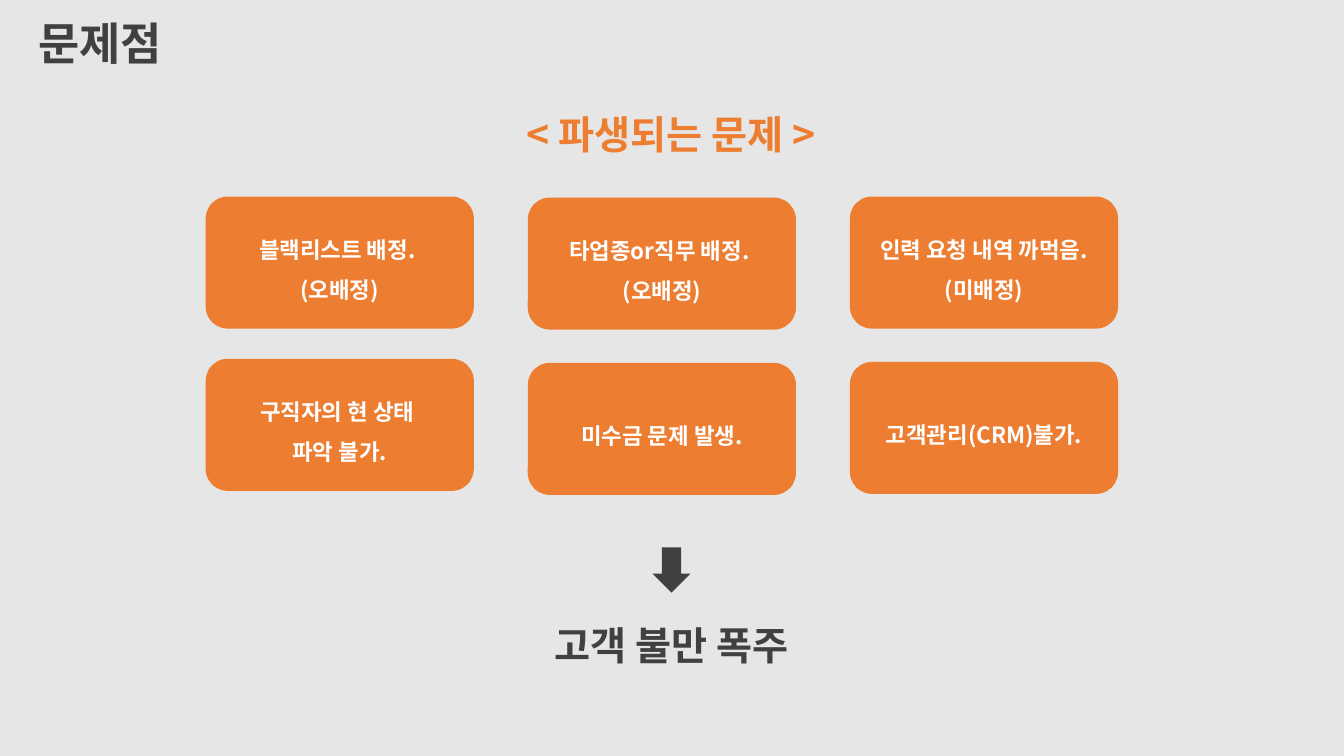
from typing import NamedTuple

from lxml import etree
from pptx import Presentation
from pptx.dml.color import RGBColor
from pptx.enum.shapes import MSO_SHAPE
from pptx.enum.text import MSO_ANCHOR, PP_ALIGN
from pptx.oxml.ns import qn
from pptx.util import Inches, Pt

ROUND_RECT = MSO_SHAPE.ROUNDED_RECTANGLE
DOWN_ARROW = MSO_SHAPE.DOWN_ARROW
TOP, MIDDLE = MSO_ANCHOR.TOP, MSO_ANCHOR.MIDDLE
LEFT, CENTER = PP_ALIGN.LEFT, PP_ALIGN.CENTER

FONT = "Noto Sans CJK KR"
COLORS = {"background": "E7E6E6", "dark": "404040", "accent": "ED7D31", "white": "FFFFFF"}

CARD_LEFT, CARD_PITCH = 2.04, 3.195
CARD_WIDTH, CARD_HEIGHT = 2.66, 1.31


class Heading(NamedTuple):
    text: str
    box: tuple[float, float, float, float]
    size: int
    color: str
    align: PP_ALIGN = CENTER
    anchor: MSO_ANCHOR = TOP
    spacing: float = 1.0


class Card(NamedTuple):
    column: int
    top: float
    text: str


HEADINGS = [
    Heading("문제점", (0.28, 0.15, 5.7, 0.62), 32, "dark", LEFT, MIDDLE, 0.9),
    Heading("< 파생되는 문제 >", (4.11, 1.05, 5.1, 0.57), 28, "accent"),
    Heading("고객 불만 폭주", (5.3, 6.11, 2.72, 0.57), 28, "dark"),
]

# "\v" breaks a line, "\n" starts a paragraph
CARDS = [
    Card(0, 1.95, "블랙리스트 배정. \v(오배정)"),
    Card(1, 1.96, "타업종or직무 배정. \v(오배정)"),
    Card(2, 1.95, "인력 요청 내역 까먹음. (미배정)"),
    Card(0, 3.56, "구직자의 현 상태 \n파악 불가."),
    Card(1, 3.6, "미수금 문제 발생."),
    Card(2, 3.59, "고객관리(CRM)불가."),
]


def rgb(name: str) -> RGBColor:
    return RGBColor.from_string(COLORS[name])


def write(sp, text: str, size: int, color: str, align: PP_ALIGN,
          anchor: MSO_ANCHOR, spacing: float) -> None:
    tf = sp.text_frame
    tf.word_wrap = True
    tf.vertical_anchor = anchor
    tf.text = text
    for p in tf.paragraphs:
        p.alignment = align
        p.line_spacing = spacing
        for r in p.runs:
            r.font.name = FONT
            r.font.size = Pt(size)
            r.font.bold = True
            r.font.color.rgb = rgb(color)
            # Korean glyphs take the East Asian typeface
            etree.SubElement(r.font._element, qn("a:ea"), typeface=FONT)


def add_heading(s, h: Heading) -> None:
    sp = s.shapes.add_textbox(*map(Inches, h.box))
    write(sp, h.text, h.size, h.color, h.align, h.anchor, h.spacing)


def add_filled(s, kind: MSO_SHAPE, box: tuple[float, float, float, float], color: str):
    sp = s.shapes.add_shape(kind, *map(Inches, box))
    sp.shadow.inherit = False
    sp.fill.solid()
    sp.fill.fore_color.rgb = rgb(color)
    sp.line.fill.background()
    return sp


def add_card(s, card: Card) -> None:
    left = CARD_LEFT + card.column * CARD_PITCH
    sp = add_filled(s, ROUND_RECT, (left, card.top, CARD_WIDTH, CARD_HEIGHT), "accent")
    write(sp, card.text, 16, "white", CENTER, MIDDLE, 1.5)


prs = Presentation()
prs.slide_width, prs.slide_height = Inches(13.33), Inches(7.5)
s = prs.slides.add_slide(prs.slide_layouts[6])
s.background.fill.solid()
s.background.fill.fore_color.rgb = rgb("background")

# Title, subtitle and conclusion
for heading in HEADINGS:
    add_heading(s, heading)

# Arrow to the conclusion
add_filled(s, DOWN_ARROW, (6.47, 5.43, 0.38, 0.45), "dark")

# Problem cards
for card in CARDS:
    add_card(s, card)

prs.save("out.pptx")
